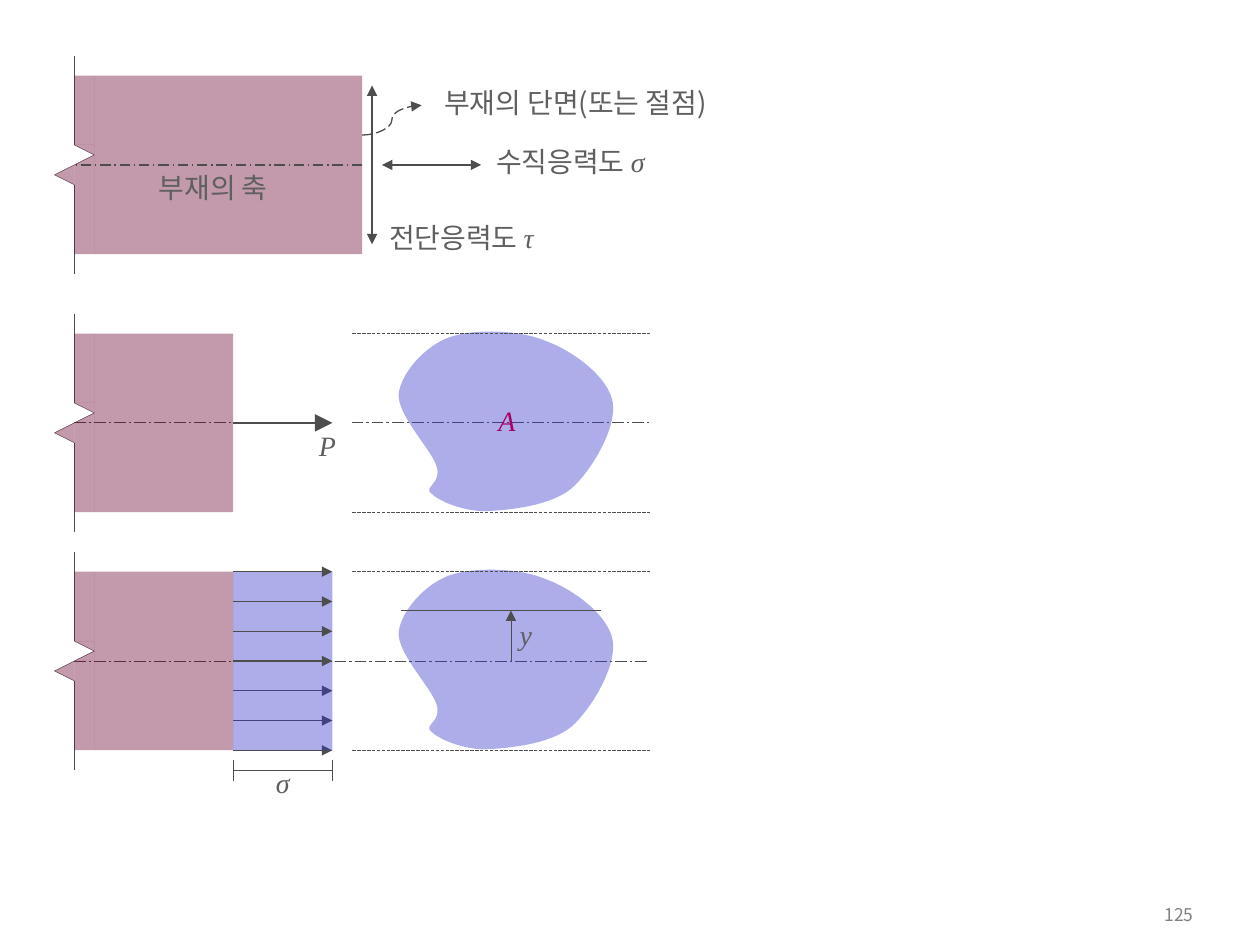
from lxml.etree import SubElement
from pptx import Presentation
from pptx.dml.color import RGBColor
from pptx.enum.dml import MSO_LINE
from pptx.enum.shapes import MSO_CONNECTOR, MSO_SHAPE
from pptx.enum.text import MSO_ANCHOR, MSO_AUTO_SIZE, PP_ALIGN
from pptx.oxml.ns import qn
from pptx.util import Pt

MODULE = 5.67  # drawing grid in points
DEPTH = 18  # member depth in modules
AXIS = DEPTH / 2
LEFT = 42.5
KOREAN, MATH = "Noto Sans CJK KR", "Times New Roman"
MAROON, BLUE, INK, GREY = "6B0131", "3333CC", "4D4D4D", "5F5F5F"

# Cross-section outline: a start point, then cubic Bezier segments, in points
OUTLINE_START = (29.5, 5.1)
OUTLINE_CURVES = [
    ((15.8, 10.1), (2.2, 25.2), (0.7, 37.5)),
    ((0, 49.7), (19.4, 69.1), (22.3, 78.5)),
    ((25.9, 88.6), (14.4, 90.7), (19.4, 94.3)),
    ((23.8, 98.7), (37.4, 104.4), (50.4, 104.4)),
    ((64.1, 103.7), (87.1, 101.5), (99.4, 91.5)),
    ((110.9, 81.4), (125.3, 56.9), (123.1, 42.5)),
    ((121, 28.1), (100.8, 13), (85, 7.2)),
    ((69.8, 0.7), (43.9, 0), OUTLINE_START),
]
OUTLINE_SIZE = (125.3, 104.4)


def color(hex_string):
    return RGBColor.from_string(hex_string)


def place(box, column, row):
    """Slide position of a grid point in a box given as (left, top)."""
    return Pt(box[0] + column * MODULE), Pt(box[1] + row * MODULE)


def write(frame, *runs, size=16, ink=GREY, align=PP_ALIGN.CENTER):
    """Write (text, font name) runs in one paragraph."""
    paragraph = frame.paragraphs[0]
    paragraph.alignment = align
    for text, name in runs:
        run = paragraph.add_run()
        run.text = text
        run.font.size = Pt(size)
        run.font.name = name
        run.font.italic = name == MATH
        run.font.color.rgb = color(ink)
        SubElement(run.font._element, qn("a:ea"), typeface=name)


def label(shapes, box, column, row, width, *runs):
    shape = shapes.add_textbox(*place(box, column, row), Pt(width * MODULE), Pt(19.4))
    frame = shape.text_frame
    frame.margin_left = frame.margin_right = frame.margin_top = frame.margin_bottom = 0
    frame.word_wrap = True
    frame.auto_size = MSO_AUTO_SIZE.SHAPE_TO_FIT_TEXT
    write(frame, *runs)


def line(shapes, box, start, end, width=0.25, dash=None, arrows=(),
         arrow_size="med", kind=MSO_CONNECTOR.STRAIGHT):
    connector = shapes.add_connector(kind, *place(box, *start), *place(box, *end))
    connector.line.color.rgb = color(INK)
    outline = connector.line._get_or_add_ln()
    outline.set("w", str(Pt(width)))  # a zero width must be explicit
    if dash:
        connector.line.dash_style = dash
    for arrow in arrows:
        SubElement(outline, qn(f"a:{arrow}"), type="triangle",
                   w=arrow_size, len=arrow_size)
    SubElement(connector._element.spPr, qn("a:effectLst"))


def axis(shapes, box, start, end, width=0):
    line(shapes, box, (start, AXIS), (end, AXIS), width, MSO_LINE.LONG_DASH_DOT)


def tint(shape, fill):
    """Fill a shape at 40 % opacity, without outline or shadow."""
    shape.shadow.inherit = False
    shape.line.fill.background()
    shape.fill.solid()
    shape.fill.fore_color.rgb = color(fill)
    value = shape._element.spPr.find(qn("a:solidFill"))[0]
    SubElement(value, qn("a:alpha"), val="40000")


def block(shapes, box, column, row, width, height, fill=MAROON,
          kind=MSO_SHAPE.RECTANGLE):
    shape = shapes.add_shape(kind, *place(box, column, row),
                             Pt(width * MODULE), Pt(height * MODULE))
    tint(shape, fill)
    return shape


def member(shapes, box, length):
    """Member with a break mark on its left edge."""
    # Break line
    zigzag = [(0, -2), (0, 7), (2, 8), (-2, 10), (0, 11), (0, 20)]
    for start, end in zip(zigzag, zigzag[1:]):
        line(shapes, box, start, end)
    block(shapes, box, 2, 0, length - 2, DEPTH)
    block(shapes, box, 0, 0, 2, 7)
    block(shapes, box, 0, AXIS, 2, 9)
    # Break wedges
    triangle = MSO_SHAPE.ISOSCELES_TRIANGLE
    block(shapes, box, -2, AXIS, 2, 2, kind=triangle).rotation = 270
    for row in (8, 7):
        wedge = block(shapes, box, 0, row, 2, 1, kind=triangle)
        wedge.adjustments[0] = 1
        if row == 7:
            wedge._element.spPr.xfrm.set("flipV", "1")


def section(shapes, box):
    """Cross-section between two dashed guides."""
    builder = shapes.build_freeform(*map(Pt, OUTLINE_START), scale=1.0)
    builder.add_line_segments([tuple(map(Pt, curve[-1])) for curve in OUTLINE_CURVES],
                              close=True)
    shape = builder.convert_to_shape()
    shape.left, shape.top = Pt(box[0] + 184.6), Pt(box[1] - 2.9)
    shape.width, shape.height = map(Pt, OUTLINE_SIZE)
    # Turn the straight path into Bezier curves
    path = next(shape._element.iter(qn("a:path")))
    path.set("w", str(shape.width))
    path.set("h", str(shape.height))
    for part in list(path):
        path.remove(part)
    commands = [("moveTo", [OUTLINE_START])]
    commands += [("cubicBezTo", curve) for curve in OUTLINE_CURVES]
    for command, points in commands + [("close", [])]:
        part = SubElement(path, qn(f"a:{command}"))
        for x, y in points:
            SubElement(part, qn("a:pt"), x=str(Pt(x)), y=str(Pt(y)))
    tint(shape, BLUE)
    for row in (0, DEPTH):
        line(shapes, box, (28, row), (58, row), dash=MSO_LINE.LONG_DASH)
    return shape


def stress_directions(shapes, box):
    both = ("headEnd", "tailEnd")
    label(shapes, box, 40, 7, 20, ("수직응력도 ", KOREAN), ("σ", MATH))
    line(shapes, box, (41, AXIS), (31, AXIS), 0.75, arrows=both)
    label(shapes, box, 29, 14.6, 20, ("전단응력도 ", KOREAN), ("τ", MATH))
    line(shapes, box, (30, 17), (30, 1), 0.75, arrows=both)
    member(shapes, box, 29)
    axis(shapes, box, 29, 0, 0.75)
    label(shapes, box, 7, 9.6, 14, ("부재의 축", KOREAN))
    label(shapes, box, 35, 1, 31, ("부재의 단면(또는 절점)", KOREAN))
    line(shapes, box, (29, 6), (35, 3), 0.75, MSO_LINE.LONG_DASH, ("tailEnd",),
         kind=MSO_CONNECTOR.CURVE)


def axial_force(shapes, box):
    axis(shapes, box, 0, 16)
    member(shapes, box, 16)
    label(shapes, box, 24, 9.6, 3, ("P", MATH))
    line(shapes, box, (26, AXIS), (16, AXIS), 1, arrows=("headEnd",), arrow_size="lg")
    axis(shapes, box, 28, 58)
    area = section(shapes, box).text_frame
    area.word_wrap = False
    area.vertical_anchor = MSO_ANCHOR.MIDDLE
    write(area, ("A", MATH), ink="A90165")


def stress_distribution(shapes, box):
    axis(shapes, box, 0, 58)
    member(shapes, box, 16)
    section(shapes, box)
    # Distance y from the axis
    line(shapes, box, (44, AXIS), (44, 3.9), arrows=("tailEnd",))
    line(shapes, box, (33, 3.9), (53, 3.9), 0)
    label(shapes, box, 44, 4.6, 3, ("y", MATH))
    # Uniform stress: the lowest three arrows lie under the tint
    for row in range(DEPTH, -1, -3):
        if row == AXIS:
            block(shapes, box, 16, 0, 10, DEPTH, BLUE)
        line(shapes, box, (26, row), (16, row), 0.75, arrows=("headEnd",))
    # Dimension of the stress
    label(shapes, box, 20, 19.5, 2, ("σ", MATH))
    line(shapes, box, (26, 20), (16, 20), 0)
    for column in (16, 26):
        line(shapes, box, (column, 19), (column, 21), 0)


def page_number(shapes, left, top, width, height):
    frame = shapes.add_textbox(Pt(left), Pt(top), Pt(width), Pt(height)).text_frame
    frame.word_wrap = True
    frame.vertical_anchor = MSO_ANCHOR.MIDDLE
    write(frame, ("125", KOREAN), size=10, ink="808080", align=PP_ALIGN.RIGHT)


def main():
    presentation = Presentation()
    presentation.slide_width, presentation.slide_height = Pt(720), Pt(540)
    shapes = presentation.slides.add_slide(presentation.slide_layouts[6]).shapes
    page_number(shapes, 638, 510.5, 51, 24)
    stress_directions(shapes, (LEFT, 43.2))
    stress_distribution(shapes, (LEFT, 326.7))
    axial_force(shapes, (LEFT, 190.6))
    presentation.save("out.pptx")


if __name__ == "__main__":
    main()
